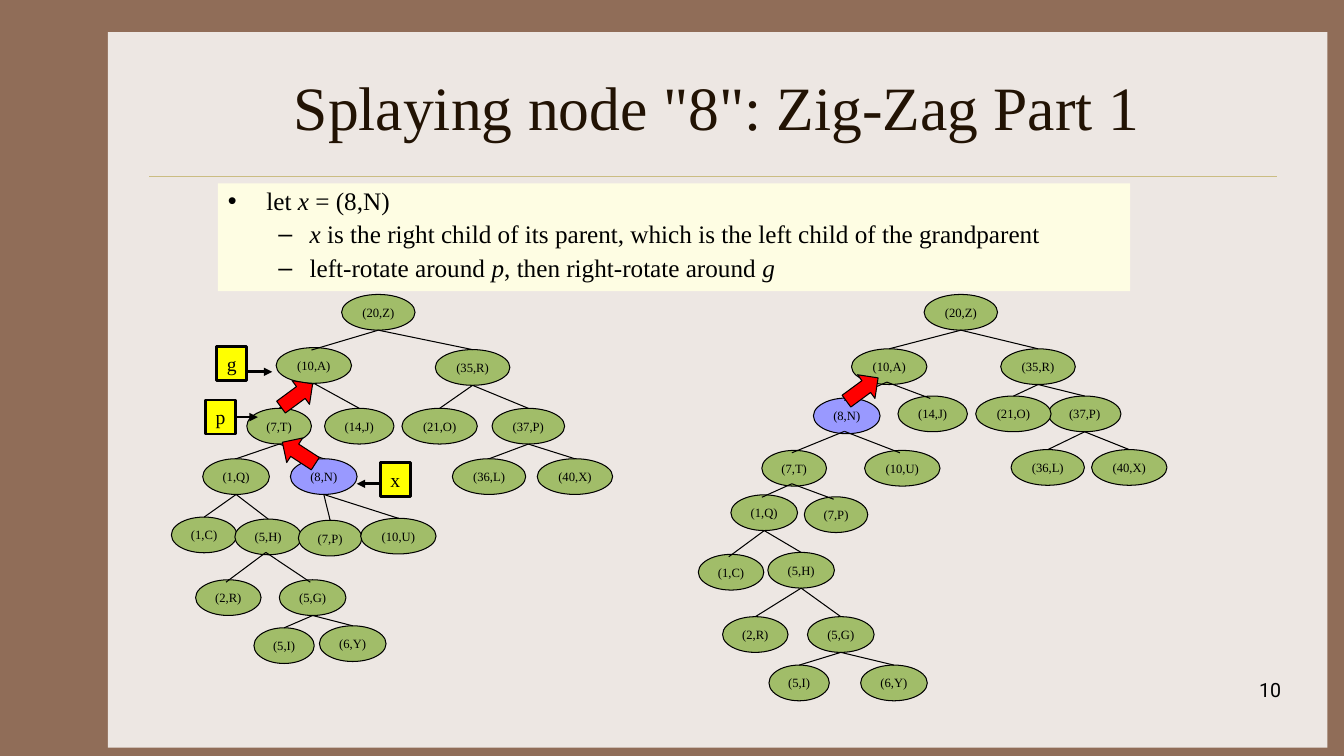
from lxml.etree import SubElement
from pptx import Presentation
from pptx.dml.color import RGBColor
from pptx.enum.shapes import MSO_CONNECTOR as Link, MSO_SHAPE as Preset
from pptx.enum.text import MSO_ANCHOR as Anchor, MSO_AUTO_SIZE as Fit, PP_ALIGN as Align
from pptx.oxml.ns import qn
from pptx.util import Cm, Pt

BROWN = RGBColor(0x90, 0x6D, 0x58)
PAPER = RGBColor(0xED, 0xE7, 0xE3)
GOLD = RGBColor(0xCB, 0xBD, 0x83)
INK = RGBColor(0x22, 0x13, 0x04)
CREAM = RGBColor(0xFE, 0xFD, 0xE3)
BLACK = RGBColor(0, 0, 0)
GREEN = RGBColor(0xA1, 0xBD, 0x69)
BLUE = RGBColor(0x99, 0x99, 0xFF)
RED = RGBColor(0xFF, 0, 0)
YELLOW = RGBColor(0xFF, 0xFF, 0)
SERIF = "Times New Roman"

NODE_HEIGHT = 0.9
NUDGE = 0.06
NODE_WIDTHS = {
    "20,Z": 1.85, "37,P": 1.83, "21,O": 1.9, "14,J": 1.75, "7,T": 1.63,
    "35,R": 1.88, "10,A": 1.9, "1,C": 1.65, "1,Q": 1.68, "5,G": 1.68,
    "2,R": 1.65, "5,H": 1.68, "6,Y": 1.68, "5,I": 1.52, "8,N": 1.68,
    "7,P": 1.6, "36,L": 1.85, "10,U": 1.9, "40,X": 1.9,
}
SHARED_CHILDREN = {
    "20,Z": ["10,A", "35,R"], "35,R": ["21,O", "37,P"],
    "37,P": ["36,L", "40,X"], "1,Q": ["1,C", "5,H"],
    "5,H": ["2,R", "5,G"], "5,G": ["5,I", "6,Y"],
}

BEFORE_NODES = {
    "20,Z": (8.61, 7.42), "37,P": (12.4, 10.29), "21,O": (10.13, 10.29),
    "14,J": (8.18, 10.29), "7,T": (6.22, 10.29), "35,R": (10.97, 8.81),
    "10,A": (6.96, 8.76), "1,C": (4.32, 13.03), "1,Q": (5.11, 11.56),
    "5,G": (7.04, 14.61), "2,R": (4.93, 14.61), "5,H": (5.92, 13.08),
    "6,Y": (8.05, 15.77), "5,I": (6.4, 15.82), "8,N": (7.32, 11.56),
    "7,P": (7.52, 13.11), "36,L": (11.4, 11.56), "10,U": (9.09, 13.06),
    "40,X": (13.54, 11.56),
}
BEFORE_CHILDREN = SHARED_CHILDREN | {
    "10,A": ["7,T", "14,J"], "7,T": ["1,Q", "8,N"], "8,N": ["7,P", "10,U"],
}
AFTER_NODES = {
    "10,A": (21.46, 8.79), "20,Z": (23.29, 7.42), "37,P": (26.42, 9.98),
    "21,O": (24.59, 9.98), "35,R": (25.22, 8.79), "36,L": (25.48, 11.33),
    "40,X": (27.51, 11.33), "7,T": (19.2, 11.35), "1,C": (17.6, 13.97),
    "1,Q": (18.42, 12.47), "5,G": (20.35, 15.54), "2,R": (18.21, 15.54),
    "5,H": (19.35, 13.92), "6,Y": (21.69, 16.76), "5,I": (19.38, 16.76),
    "14,J": (22.63, 9.98), "8,N": (20.5, 10.03), "7,P": (20.27, 12.52),
    "10,U": (21.79, 11.35),
}
AFTER_CHILDREN = SHARED_CHILDREN | {
    "10,A": ["8,N", "14,J"], "8,N": ["7,T", "10,U"], "7,T": ["1,Q", "7,P"],
}


class SplaySlide:
    def __init__(self, deck):
        self.page = deck.slides.add_slide(deck.slide_layouts[1])
        self.page.background.fill.solid()
        self.page.background.fill.fore_color.rgb = BROWN

    def style(self, font, size, color, name=SERIF):
        font.name, font.size, font.color.rgb = name, Pt(size), color

    def place(self, shape, left, top, width, height):
        shape.left, shape.top = Cm(left), Cm(top)
        shape.width, shape.height = Cm(width), Cm(height)

    def shape(self, preset, left, top, width, height, fill, line=0.75):
        shape = self.page.shapes.add_shape(preset, Cm(left), Cm(top), Cm(width), Cm(height))
        shape.shadow.inherit = False
        shape.fill.solid()
        shape.fill.fore_color.rgb = fill
        if line:
            shape.line.color.rgb = BLACK
            shape.line.width = Pt(line)
        else:
            shape.line.fill.background()
        return shape

    def panel(self, left, top, width, height):
        panel = self.shape(Preset.RECTANGLE, left, top, width, height, PAPER, 0)
        self.page.shapes.element.insert(2, panel.element)

    def label(self, shape, text, size):
        frame = shape.text_frame
        frame.word_wrap = False
        frame.vertical_anchor = Anchor.MIDDLE
        para = frame.paragraphs[0]
        para.text = text
        para.alignment = Align.CENTER
        self.style(para.font, size, BLACK)

    def line(self, start, end, color=BLACK, width=0.75, arrow=False):
        line = self.page.shapes.add_connector(Link.STRAIGHT, *map(Cm, start + end))
        line.line.color.rgb = color
        line.line.width = Pt(width)
        if arrow:
            SubElement(line.line._get_or_add_ln(), qn("a:tailEnd"), type="triangle")
        SubElement(line.element.spPr, qn("a:effectLst"))
        return line

    def title(self, text):
        title = self.page.shapes.title
        self.place(title, 3.96, 1.07, 28.22, 3.18)
        title.text_frame.vertical_anchor = Anchor.MIDDLE
        para = title.text_frame.paragraphs[0]
        para.text = text
        para.alignment = Align.CENTER
        self.style(para.font, 44, INK)

    def steps(self, items):
        body = self.page.placeholders[1]
        self.place(body, 5.49, 4.62, 22.99, 2.72)
        body.fill.solid()
        body.fill.fore_color.rgb = CREAM
        frame = body.text_frame
        frame.auto_size = Fit.NONE
        for index, (level, text) in enumerate(items):
            para = frame.add_paragraph() if index else frame.paragraphs[0]
            para.level = level
            para.line_spacing = 0.9
            para.space_before = Pt(4.5 if index else 0)
            indent, hang, bullet = [(0.97, 0.97, "•"), (2.06, 0.79, "–")][level]
            props = para._p.get_or_add_pPr()
            props.set("marL", str(Cm(indent)))
            props.set("indent", str(-Cm(hang)))
            SubElement(props, qn("a:buChar"), char=bullet)
            self.style(para.font, 18, BLACK)
            for part, words in enumerate(text.split("*")):
                if words:
                    span = para.add_run()
                    span.text = words
                    span.font.italic = part % 2 == 1

    def tree(self, nodes, children, high_feet, low_heads):
        for name, (left, top) in nodes.items():
            fill = BLUE if name == "8,N" else GREEN
            node = self.shape(Preset.OVAL, left, top, NODE_WIDTHS[name], NODE_HEIGHT, fill)
            self.label(node, f"({name})", 9)
        for parent, offspring in children.items():
            for child in offspring:
                raised = NUDGE if parent in high_feet else 0
                lowered = NUDGE if child in low_heads else 0
                left, top = nodes[parent]
                foot = (left + NODE_WIDTHS[parent] / 2 - raised, top + NODE_HEIGHT - raised)
                left, top = nodes[child]
                head = (left + NODE_WIDTHS[child] / 2 - lowered, top + lowered)
                self.line(foot, head)

    def rotation_arrow(self, left, top, angle):
        arrow = self.shape(Preset.DOWN_ARROW, left, top, 0.74, 0.99, RED)
        arrow.rotation = angle

    def tag(self, text, left, top):
        tag = self.shape(Preset.RECTANGLE, left, top, 0.76, 0.86, YELLOW, 2)
        self.label(tag, text, 14)
        return tag

    def number(self, text):
        box = self.page.shapes.add_textbox(Cm(25.48), Cm(16.97), Cm(7.06), Cm(1.27))
        box.text_frame.word_wrap = True
        para = box.text_frame.paragraphs[0]
        para.text = text
        para.alignment = Align.RIGHT
        self.style(para.font, 14, BLACK, "Roboto")


def main():
    deck = Presentation()
    deck.slide_width, deck.slide_height = Cm(33.87), Cm(19.05)
    slide = SplaySlide(deck)
    slide.panel(2.72, 0.81, 30.73, 18.03)
    slide.line((3.76, 4.45), (32.18, 4.45), GOLD, 0.25)
    slide.title('Splaying node "8": Zig-Zag Part 1')
    slide.steps([
        (0, "let *x* = (8,N)"),
        (1, "*x* is the right child of its parent, which is the left child of the grandparent"),
        (1, "left-rotate around *p*, then right-rotate around *g*"),
    ])
    slide.number("10")
    slide.tree(BEFORE_NODES, BEFORE_CHILDREN, {"5,H"}, {"10,A", "2,R", "5,G"})
    slide.tree(AFTER_NODES, AFTER_CHILDREN, {"10,A", "8,N", "7,T"},
               {"8,N", "14,J", "7,T", "10,U", "1,Q", "7,P", "1,C"})
    slide.rotation_arrow(7.16, 10.92, 123)
    slide.rotation_arrow(7.11, 9.47, 233.7)
    slide.rotation_arrow(21.36, 9.32, 233.7)
    slide.tag("x", 9.58, 11.66)
    slide.line((9.55, 12.19), (8.99, 12.19), width=2, arrow=True)
    parent_tag = slide.tag("p", 5.18, 10.08)
    pointer = slide.line((5.94, 10.51), (6.5, 10.51), width=2, arrow=True)
    pointer.begin_connect(parent_tag, 3)
    slide.tag("g", 5.46, 8.74)
    slide.line((6.25, 9.37), (6.86, 9.37), width=2, arrow=True)
    deck.save("out.pptx")


if __name__ == "__main__":
    main()
